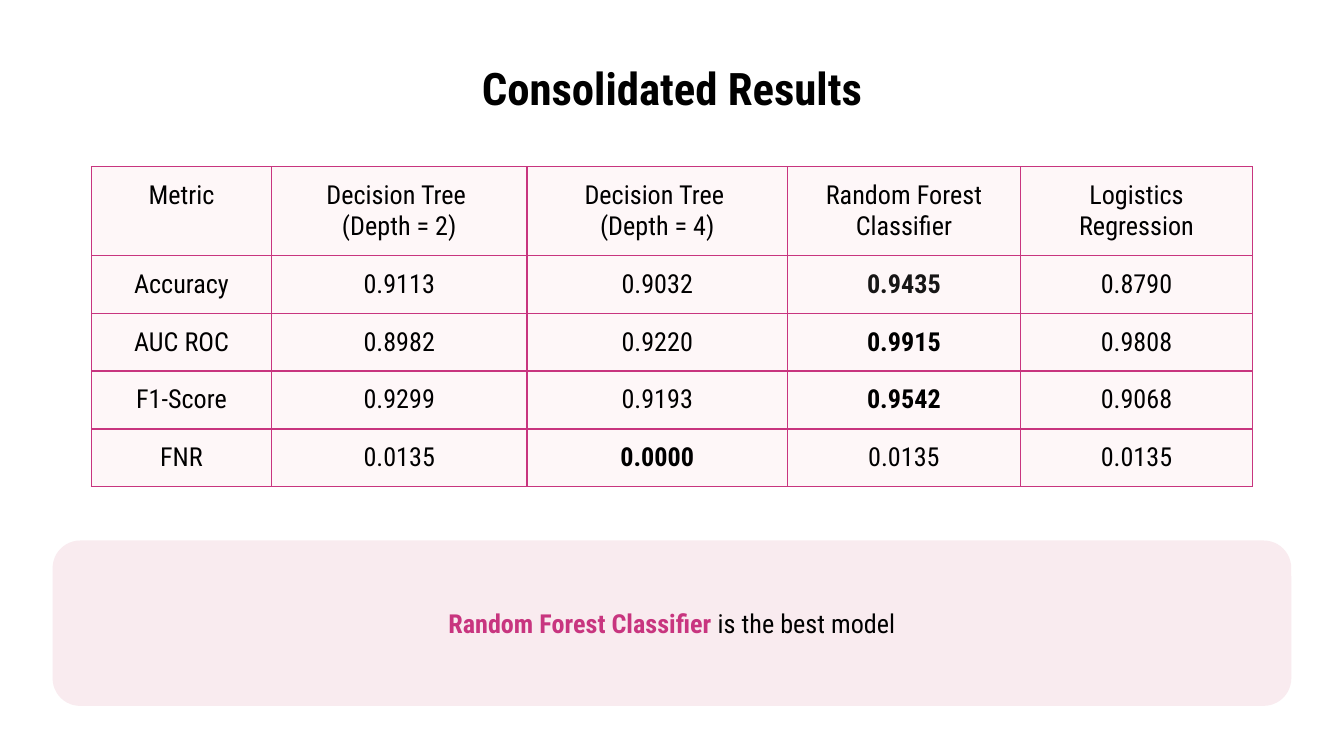
from lxml.etree import SubElement as Sub
from pptx import Presentation
from pptx.dml.color import RGBColor as RGB
from pptx.enum.shapes import MSO_SHAPE as Shape
from pptx.enum.text import MSO_ANCHOR as Anchor, MSO_AUTO_SIZE as Auto, PP_ALIGN as Align
from pptx.oxml.ns import qn
from pptx.util import Pt

BLACK = RGB(0x00, 0x00, 0x00)
INK = RGB(0x17, 0x16, 0x16)
PINK = RGB(0xC8, 0x35, 0x7F)
ROSE = RGB(0xF9, 0xB9, 0xC8)
PALE = RGB(0xF9, 0xEA, 0xEE)

WIDTHS = [96.5, 136.8, 139.7, 124.6, 124.6]
ROW = 30.2
HEAD = [["Metric"], ["Decision Tree ", "(Depth = 2)"], ["Decision Tree ", "(Depth = 4)"],
        ["Random Forest Classifier"], ["Logistics Regression"]]
SCORES = [
    ("Accuracy", "0.9113", "0.9032", "0.9435", "0.8790"),
    ("AUC ROC", "0.8982", "0.9220", "0.9915", "0.9808"),
    ("F1-Score", "0.9299", "0.9193", "0.9542", "0.9068"),
    ("FNR", "0.0135", "0.0000", "0.0135", "0.0135"),
]
BEST = {"0.9435": INK, "0.9915": BLACK, "0.9542": BLACK, "0.0000": BLACK}


class Deck:
    font = "Roboto Condensed"
    size = 14
    inset = Pt(7.2)

    def __init__(self, slide):
        self.slide = slide

    def label(self, frame, lines, size=size, anchor=Anchor.TOP):
        """Fill a frame with centred lines, each a list of (text, colour, bold) runs."""
        frame.word_wrap = True
        frame.vertical_anchor = anchor
        for i, line in enumerate(lines):
            para = frame.paragraphs[0] if i == 0 else frame.add_paragraph()
            para.alignment = Align.CENTER
            for text, color, bold in line:
                run = para.add_run()
                run.text = text
                run.font.name = self.font
                run.font.size = Pt(size)
                run.font.bold = bold
                run.font.color.rgb = color

    def pad(self, item):
        item.margin_left = item.margin_right = self.inset
        item.margin_top = item.margin_bottom = self.inset

    def tint(self, fill, node, color, alpha):
        """Fill with a colour at alpha percent opacity."""
        fill.solid()
        fill.fore_color.rgb = color
        tone = node.find(qn("a:solidFill")).find(qn("a:srgbClr"))
        Sub(tone, qn("a:alpha"), val=str(alpha * 1000))

    def title(self, text, x, y, w, h):
        box = self.slide.shapes.title
        box.left, box.top, box.width, box.height = Pt(x), Pt(y), Pt(w), Pt(h)
        frame = box.text_frame
        frame.auto_size = Auto.NONE
        self.pad(frame)
        self.label(frame, [[(text, BLACK, True)]], size=24)

    def edge(self, cell, color, width):
        props = cell._tc.get_or_add_tcPr()
        for i, side in enumerate("LRTB"):
            line = Sub(props, qn(f"a:ln{side}"), w=str(Pt(width)))
            fill = Sub(line, qn("a:solidFill"))
            Sub(fill, qn("a:srgbClr"), val=str(color))
            props.insert(i, line)

    def table(self, rows, x, y):
        """Draw rows of cells, each cell a list of lines."""
        grid = self.slide.shapes.add_table(
            len(rows), len(WIDTHS), Pt(x), Pt(y), Pt(sum(WIDTHS)), Pt(ROW * len(rows))).table
        grid.first_row = grid.horz_banding = False
        for col, width in zip(grid.columns, WIDTHS):
            col.width = Pt(width)
        for r, row in enumerate(rows):
            grid.rows[r].height = Pt(ROW)
            for c, lines in enumerate(row):
                cell = grid.cell(r, c)
                self.pad(cell)
                self.tint(cell.fill, cell._tc.get_or_add_tcPr(), ROSE, 11)
                self.edge(cell, PINK, 0.75)
                self.label(cell.text_frame,
                           [[(t, BEST.get(t, BLACK), t in BEST)] for t in lines])

    def panel(self, runs, x, y, w, h):
        box = self.slide.shapes.add_shape(Shape.ROUNDED_RECTANGLE, Pt(x), Pt(y), Pt(w), Pt(h))
        box.shadow.inherit = False
        box.line.fill.background()
        self.tint(box.fill, box._element.spPr, PALE, 92)
        self.pad(box.text_frame)
        self.label(box.text_frame, [runs], anchor=Anchor.MIDDLE)


def main():
    prs = Presentation()
    prs.slide_width, prs.slide_height = Pt(720), Pt(405)
    deck = Deck(prs.slides.add_slide(prs.slide_layouts[5]))
    deck.title("Consolidated Results", 14.2, 25.2, 691.6, 45.4)
    deck.table([HEAD] + [[[text] for text in row] for row in SCORES], 49, 89.3)
    deck.panel([("Random Forest Classifier", PINK, True),
                (" is the best model", BLACK, False)], 28.2, 289.6, 663.6, 88.6)
    prs.save("out.pptx")


if __name__ == "__main__":
    main()
